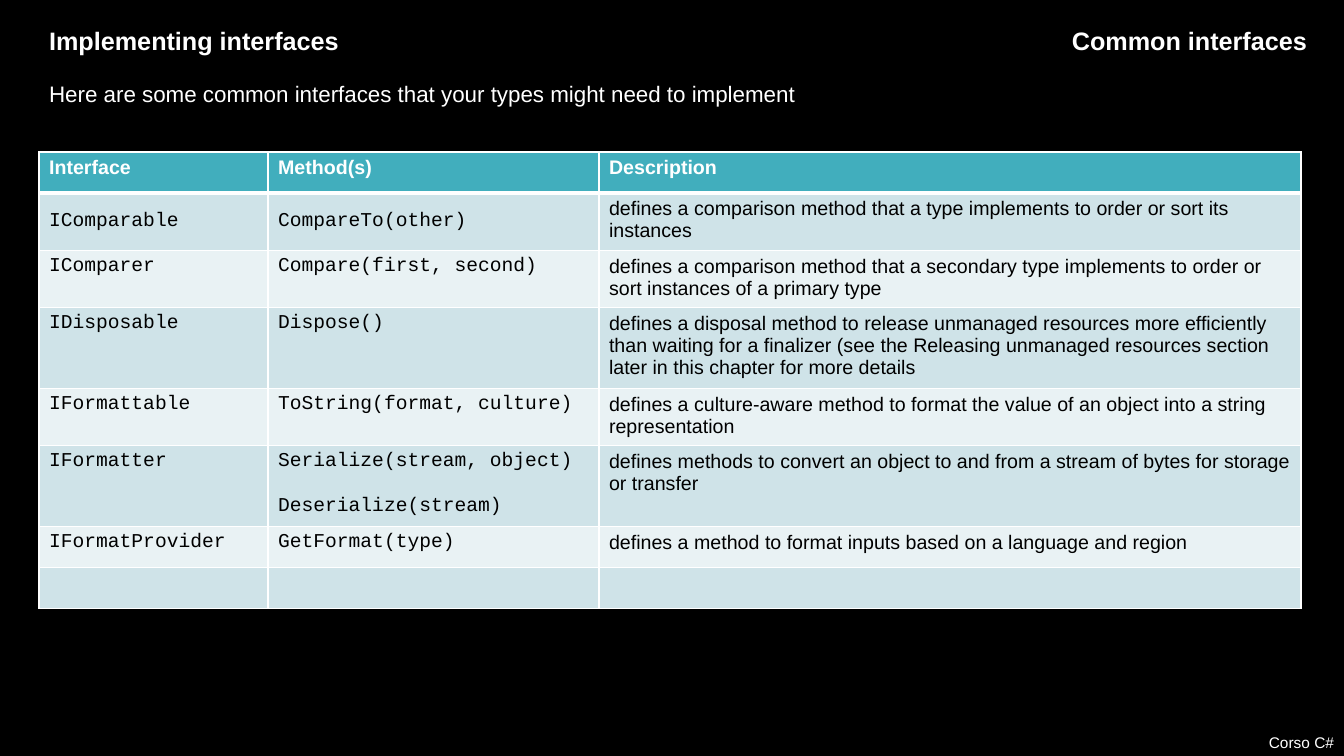
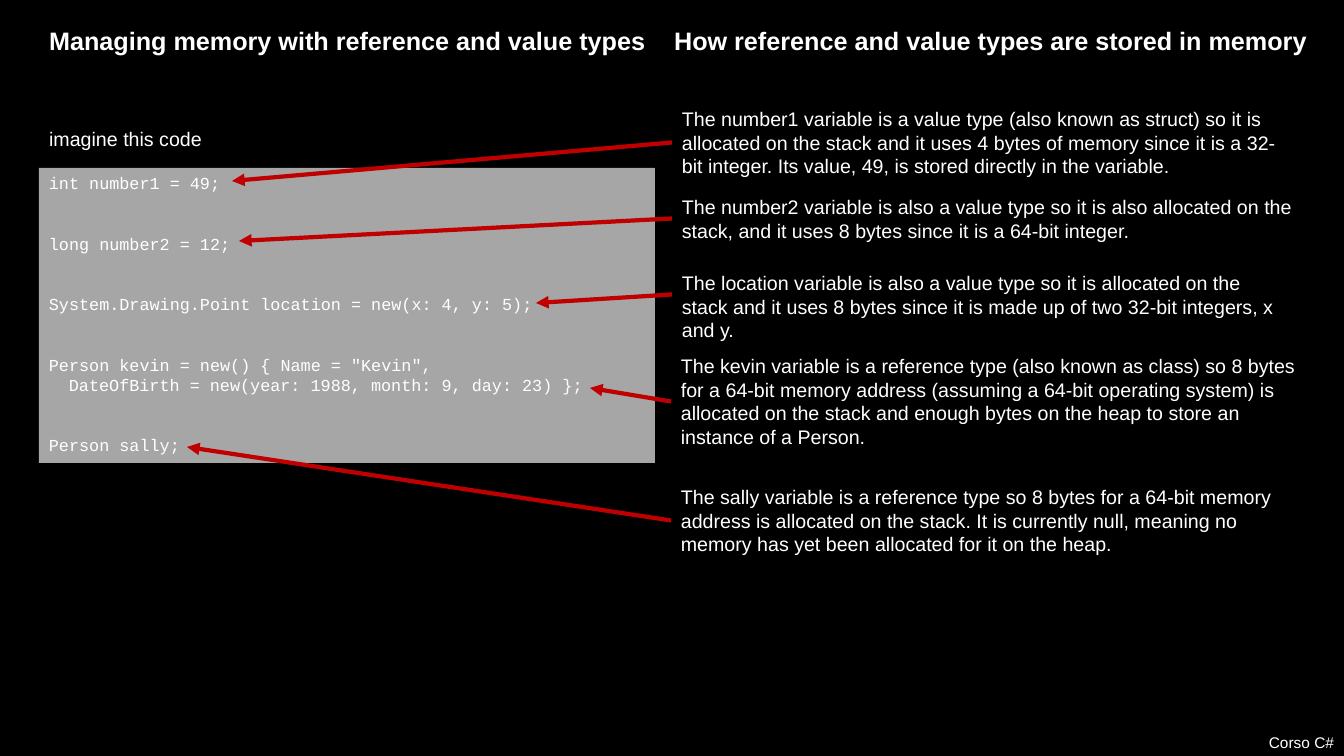
import pptx
import pptx.dml.color
import pptx.enum.shapes
import pptx.enum.text
import pptx.oxml
import pptx.oxml.ns
import pptx.util

PX = 12192000 / 1344
COLORS = {
    "background": "000000",
    "text": "FFFFFF",
    "cell_text": "000000",
    "header": "41AEBD",
    "band_dark": "CFE3E8",
    "band_light": "E9F2F4",
    "code_panel": "A6A6A6",
    "arrow": "C00000",
}
SANS, MONO = "Arial", "Courier New"
LEFT, CONTENT_WIDTH = 39, 1262
ALIGN = pptx.enum.text.PP_ALIGN
ANCHOR = pptx.enum.text.MSO_ANCHOR

INTERFACES = [
    (["IComparable"], ["CompareTo(other)"],
     ["defines a comparison method that a type implements to order or sort its instances"]),
    (["IComparer"], ["Compare(first, second)"],
     ["defines a comparison method that a secondary type implements to order or "
      "sort instances of a primary type"]),
    (["IDisposable"], ["Dispose()"],
     ["defines a disposal method to release unmanaged resources more efficiently than "
      "waiting for a finalizer (see the Releasing unmanaged resources section later in "
      "this chapter for more details"]),
    (["IFormattable"], ["ToString(format, culture)"],
     ["defines a culture-aware method to format the value of an object into a string "
      "representation"]),
    (["IFormatter"], ["Serialize(stream, object)", "Deserialize(stream)"],
     ["defines methods to convert an object to and from a stream of bytes for storage "
      "or transfer"]),
    (["IFormatProvider"], ["GetFormat(type)"],
     ["defines a method to format inputs based on a language and region"]),
    ([], [], []),
]
ROW_HEIGHTS = [41, 57, 57, 81, 57, 81, 41, 41]
COLUMN_WIDTHS = [229, 331, 702]

CODE_GROUPS = [
    ["int number1 = 49;"],
    ["long number2 = 12;"],
    ["System.Drawing.Point location = new(x: 4, y: 5);"],
    ['Person kevin = new() { Name = "Kevin",',
     "DateOfBirth = new(year: 1988, month: 9, day: 23) };"],
    ["Person sally;"],
]
# Note box (left, top, width, height), arrow tip (x, y), text
NOTES = [
    ((672, 102, 632, 81), (232, 181),
     "The number1 variable is a value type (also known as struct) so it is allocated on "
     "the stack and it uses 4 bytes of memory since it is a 32-bit integer. Its value, "
     "49, is stored directly in the variable."),
    ((672, 190, 645, 57), (239, 241),
     "The number2 variable is also a value type so it is also allocated on the stack, "
     "and it uses 8 bytes since it is a 64-bit integer."),
    ((672, 266, 630, 57), (536, 303),
     "The location variable is also a value type so it is allocated on the stack and it "
     "uses 8 bytes since it is made up of two 32-bit integers, x and y."),
    ((671, 349, 646, 105), (590, 388),
     "The kevin variable is a reference type (also known as class) so 8 bytes for a "
     "64-bit memory address (assuming a 64-bit operating system) is allocated on the "
     "stack and enough bytes on the heap to store an instance of a Person."),
    ((671, 480, 646, 81), (187, 447),
     "The sally variable is a reference type so 8 bytes for a 64-bit memory address is "
     "allocated on the stack. It is currently null, meaning no memory has yet been "
     "allocated for it on the heap."),
]


def px(*lengths):
    return [pptx.util.Emu(round(length * PX)) for length in lengths]


def rgb(name):
    return pptx.dml.color.RGBColor.from_string(COLORS[name])


def write_text(frame, lines, size=14, font=SANS, color="text", bold=False,
               align=ALIGN.LEFT, line_spacing=1.0, gap=0):
    """Write one paragraph per line, with gap points between paragraphs."""
    frame.word_wrap = True
    for index, line in enumerate(lines):
        paragraph = frame.paragraphs[0] if index == 0 else frame.add_paragraph()
        paragraph.alignment = align
        paragraph.line_spacing = line_spacing
        paragraph.space_before = pptx.util.Pt(gap if index else 0)
        run = paragraph.add_run()
        run.text = line
        run.font.size = pptx.util.Pt(size)
        run.font.name = font
        run.font.bold = bold
        run.font.color.rgb = rgb(color)


def add_text_box(slide, box, line, **text_format):
    shape = slide.shapes.add_textbox(*px(*box))
    write_text(shape.text_frame, [line], **text_format)
    return shape


def fill_placeholder(shape, box, line, **text_format):
    shape.left, shape.top, shape.width, shape.height = px(*box)
    frame = shape.text_frame
    frame.auto_size = pptx.enum.text.MSO_AUTO_SIZE.NONE
    frame.vertical_anchor = ANCHOR.TOP
    write_text(frame, [line], **text_format)


def add_base_slide(presentation, title, topic, intro, intro_box, intro_size):
    """Add a slide with its two headings, intro sentence and footer."""
    slide = presentation.slides.add_slide(presentation.slide_layouts[1])
    fill_placeholder(slide.shapes.title, (LEFT, 20, 623, 40), title, size=18, bold=True)
    add_text_box(slide, (649, 20, 668, 40), topic, size=18, bold=True, align=ALIGN.RIGHT)
    body = slide.placeholders[1]
    fill_placeholder(body, intro_box, intro, size=intro_size, line_spacing=1.5)
    properties = body.text_frame.paragraphs[0]._p.get_or_add_pPr()
    properties.set("marL", "0")
    properties.set("indent", "0")
    properties.append(pptx.oxml.parse_xml(
        f"<a:buNone {pptx.oxml.ns.nsdecls('a')}/>"))
    add_text_box(slide, (0, 728, 1344, 29), "Corso C#", size=11, align=ALIGN.RIGHT)
    return slide


def set_borders(cell, top, bottom):
    """Draw white cell borders; top and bottom are widths in points."""
    properties = cell._tc.get_or_add_tcPr()
    for side, width in (("L", 1), ("R", 1), ("T", top), ("B", bottom)):
        properties.append(pptx.oxml.parse_xml(
            f'<a:ln{side} {pptx.oxml.ns.nsdecls("a")} w="{pptx.util.Pt(width)}">'
            f'<a:solidFill><a:srgbClr val="{COLORS["text"]}"/></a:solidFill>'
            f"</a:ln{side}>"))


def add_interface_table(slide, left, top):
    rows = [(["Interface"], ["Method(s)"], ["Description"])] + INTERFACES
    table = slide.shapes.add_table(
        len(rows), len(COLUMN_WIDTHS),
        *px(left, top, sum(COLUMN_WIDTHS), sum(ROW_HEIGHTS))).table
    for column, width in zip(table.columns, px(*COLUMN_WIDTHS)):
        column.width = width
    for row, height in zip(table.rows, px(*ROW_HEIGHTS)):
        row.height = height
    for row_index, row in enumerate(rows):
        header = row_index == 0
        band = "header" if header else "band_dark" if row_index % 2 else "band_light"
        for column_index, lines in enumerate(row):
            cell = table.cell(row_index, column_index)
            set_borders(cell, 3 if row_index == 1 else 1, 3 if header else 1)
            cell.fill.solid()
            cell.fill.fore_color.rgb = rgb(band)
            if row_index == 1 and column_index < 2:
                cell.vertical_anchor = ANCHOR.MIDDLE
            write_text(cell.text_frame, lines, bold=header, gap=16,
                       font=SANS if header or column_index == 2 else MONO,
                       color="text" if header else "cell_text")


def add_code_panel(slide, box):
    panel = slide.shapes.add_shape(pptx.enum.shapes.MSO_SHAPE.RECTANGLE, *px(*box))
    panel.shadow.inherit = False
    panel.fill.solid()
    panel.fill.fore_color.rgb = rgb("code_panel")
    panel.line.fill.background()
    frame = panel.text_frame
    frame.vertical_anchor = ANCHOR.TOP
    write_text(frame, sum(CODE_GROUPS, []), size=12, font=MONO,
               line_spacing=pptx.util.Pt(14.4))
    paragraphs = iter(frame.paragraphs)
    for group_index, group in enumerate(CODE_GROUPS):
        for line_index in range(len(group)):
            paragraph = next(paragraphs)
            if line_index:
                paragraph._p.get_or_add_pPr().set("marL", str(px(20)[0]))
            elif group_index:
                paragraph.space_before = pptx.util.Pt(28.8)


def add_note(slide, box, tip, text):
    """Add an explanation and the arrow from its left side to the code."""
    note = add_text_box(slide, box, text, line_spacing=pptx.util.Pt(16.8))
    arrow = slide.shapes.add_connector(
        pptx.enum.shapes.MSO_CONNECTOR.STRAIGHT,
        *px(box[0], box[1] + box[3] / 2, *tip))
    arrow.begin_connect(note, 1)
    arrow.line.color.rgb = rgb("arrow")
    arrow.line.width = pptx.util.Pt(3)
    namespace = pptx.oxml.ns.nsdecls("a")
    arrow.line._get_or_add_ln().append(
        pptx.oxml.parse_xml(f'<a:tailEnd {namespace} type="triangle"/>'))
    arrow._element.spPr.append(pptx.oxml.parse_xml(f"<a:effectLst {namespace}/>"))


def build_interfaces_slide(presentation):
    slide = add_base_slide(
        presentation, "Implementing interfaces", "Common interfaces",
        "Here are some common interfaces that your types might need to implement",
        (LEFT, 62, CONTENT_WIDTH, 45), 16)
    add_interface_table(slide, LEFT, 152)


def build_memory_slide(presentation):
    slide = add_base_slide(
        presentation, "Managing memory with reference and value types",
        "How reference and value types are stored in memory",
        "imagine this code", (LEFT, 110, CONTENT_WIDTH, 41), 14)
    add_code_panel(slide, (LEFT, 168, 616, 295))
    for box, tip, text in NOTES:
        add_note(slide, box, tip, text)


def main():
    presentation = pptx.Presentation()
    presentation.slide_width, presentation.slide_height = px(1344, 756)
    background = presentation.slide_master.background.fill
    background.solid()
    background.fore_color.rgb = rgb("background")
    build_interfaces_slide(presentation)
    build_memory_slide(presentation)
    presentation.save("out.pptx")


if __name__ == "__main__":
    main()
